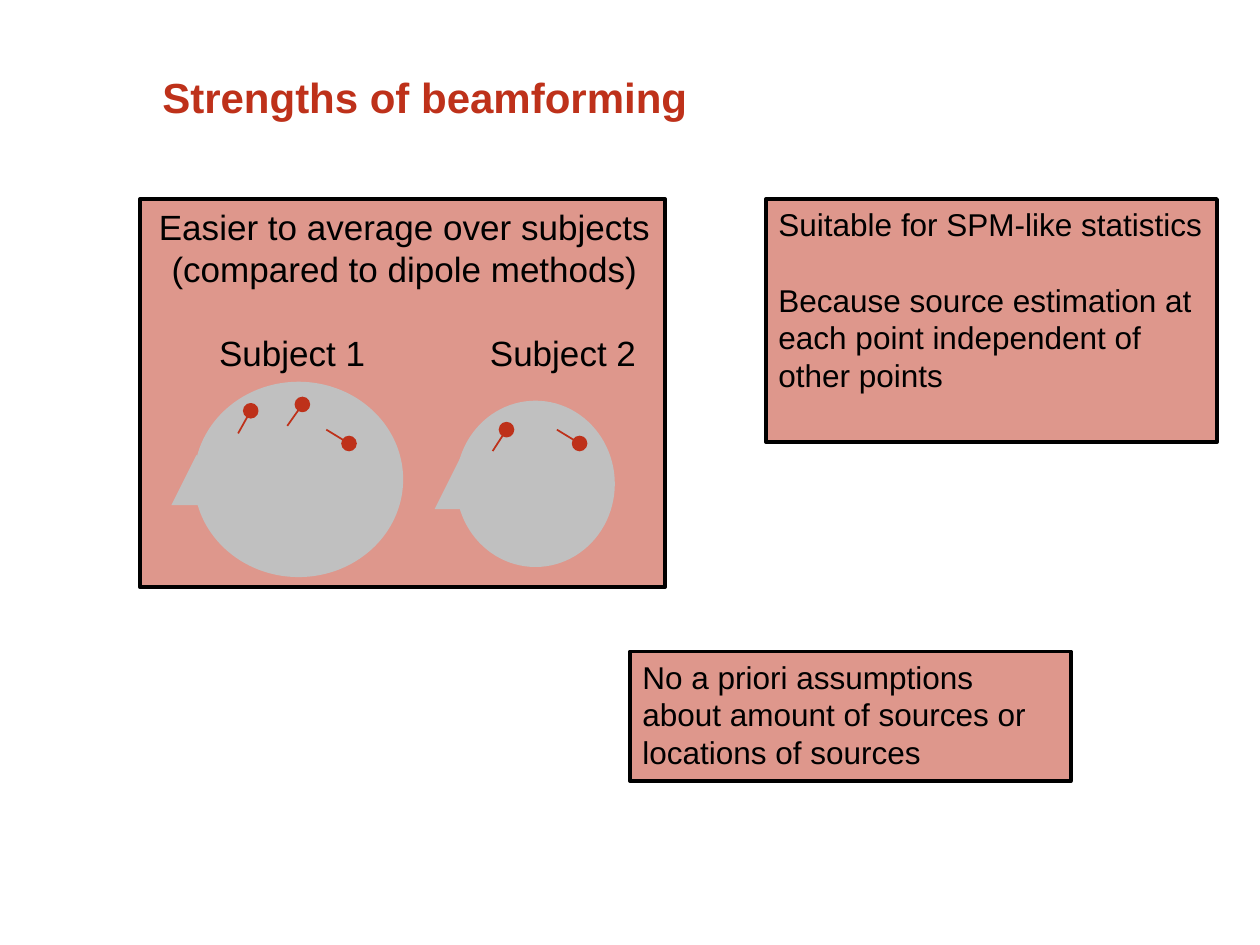
from lxml import etree
from pptx import Presentation
from pptx.dml.color import RGBColor
from pptx.enum.shapes import MSO_CONNECTOR, MSO_SHAPE
from pptx.enum.text import MSO_ANCHOR, PP_ALIGN
from pptx.oxml.ns import qn
from pptx.util import Inches, Pt

RECT, OVAL, TRIANGLE = MSO_SHAPE.RECTANGLE, MSO_SHAPE.OVAL, MSO_SHAPE.ISOSCELES_TRIANGLE
STRAIGHT = MSO_CONNECTOR.STRAIGHT
TOP, MIDDLE = MSO_ANCHOR.TOP, MSO_ANCHOR.MIDDLE
LEFT, CENTER = PP_ALIGN.LEFT, PP_ALIGN.CENTER
COLORS = {"red": "BE311A", "head": "C0C0C0", "black": "000000"}
DOT = 0.11

prs = Presentation()
prs.slide_width, prs.slide_height = Inches(10), Inches(7.5)
slide = prs.slides.add_slide(prs.slide_layouts[6])


def add_filled(kind, box, fill, line=None, width=1, alpha=None):
    shape = slide.shapes.add_shape(kind, *map(Inches, box))
    shape.shadow.inherit = False
    shape.fill.solid()
    shape.fill.fore_color.rgb = RGBColor.from_string(COLORS[fill])
    if alpha:
        color = shape.fill._xPr.find(".//" + qn("a:srgbClr"))
        etree.SubElement(color, qn("a:alpha"), val=str(alpha * 1000))
    if line:
        shape.line.color.rgb = RGBColor.from_string(COLORS[line])
        shape.line.width = Pt(width)
    else:
        shape.line.fill.background()
    return shape


def write(shape, paragraphs, size, color="black", bold=False, align=LEFT,
          anchor=TOP, wrap=True, spacing=None, gap=0):
    frame = shape.text_frame
    frame.word_wrap, frame.vertical_anchor = wrap, anchor
    for i, text in enumerate(paragraphs):
        para = frame.paragraphs[0] if i == 0 else frame.add_paragraph()
        para.alignment, para.line_spacing = align, spacing
        para.space_before = Pt(gap if i else 0)
        run = para.add_run()
        run.text = text
        for name, value in {"name": "Arial", "size": Pt(size), "bold": bold}.items():
            setattr(run.font, name, value)
        run.font.color.rgb = RGBColor.from_string(COLORS[color])


# Title
title = slide.shapes.add_textbox(Inches(1.19), Inches(0.58), Inches(8.44), Inches(0.47))
write(title, ["Strengths of beamforming"], 24, "red", True, anchor=MIDDLE, spacing=0.72)

# Panels
panels = [
    ((1.11, 1.58, 4.17, 3.08), []),
    ((6.08, 1.58, 3.58, 1.93), [
        "Suitable for SPM-like statistics",
        "Because source estimation at each point independent of other points"]),
    ((5, 5.17, 3.5, 1.03), [
        "No a priori assumptions about amount of sources or locations of sources"]),
]
for box, paragraphs in panels:
    panel = add_filled(RECT, box, "red", "black", 2, alpha=50)
    write(panel, paragraphs, 18, gap=21.5)

# Subjects: label, label left, head, nose, dipoles as (tail, dot centre)
subjects = [
    ("Subject 1", 1.64, (1.54, 3.03, 1.66, 1.55), (1.36, 3.61, 0.4, 0.4),
     [((2.28, 3.38), (2.4, 3.21)), ((2.59, 3.41), (2.77, 3.52)),
      ((1.89, 3.44), (1.99, 3.26))]),
    ("Subject 2", 3.79, (3.62, 3.18, 1.26, 1.32), (3.45, 3.64, 0.4, 0.4),
     [((3.91, 3.58), (4.02, 3.41)), ((4.42, 3.41), (4.6, 3.52))]),
]
for label, label_left, head, nose, dipoles in subjects:
    add_filled(OVAL, head, "head")
    add_filled(TRIANGLE, nose, "head")
    for tail, (x, y) in dipoles:
        add_filled(OVAL, (x - DOT / 2, y - DOT / 2, DOT, DOT), "red", "red")
        stem = slide.shapes.add_connector(STRAIGHT, *map(Inches, (*tail, x, y)))
        stem.line.color.rgb = RGBColor.from_string(COLORS["red"])
        stem.line.width = Pt(1)
        etree.SubElement(stem._element.spPr, qn("a:effectLst"))
    caption = slide.shapes.add_textbox(Inches(label_left), Inches(2.58), Inches(1.36), Inches(0.43))
    write(caption, [label], 20, wrap=False)

# Heading of the subjects panel
heading = slide.shapes.add_textbox(Inches(0.92), Inches(1.58), Inches(4.58), Inches(0.77))
write(heading, ["Easier to average over subjects (compared to dipole methods)"], 20, align=CENTER)

prs.save("out.pptx")
